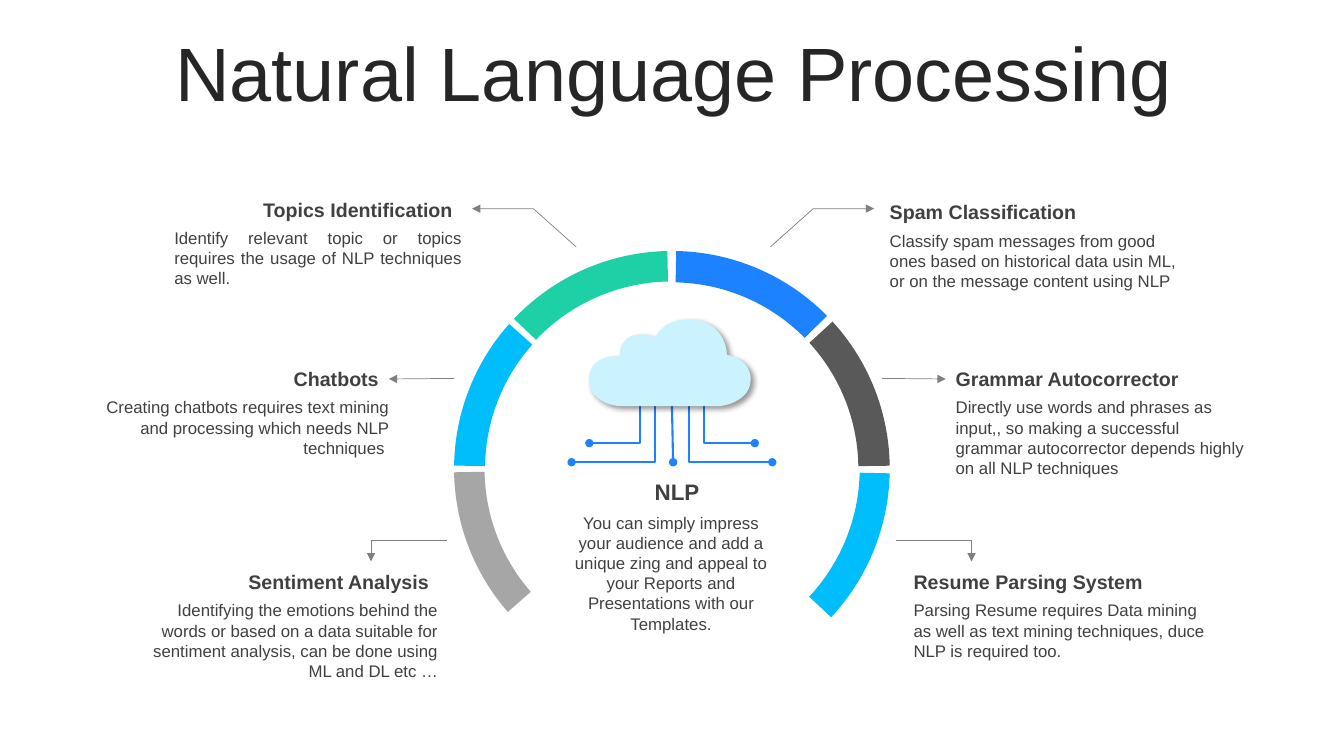
import lxml.etree
import pptx
import pptx.dml.color
import pptx.enum.shapes
import pptx.enum.text
import pptx.oxml.ns
import pptx.util

RGB = pptx.dml.color.RGBColor
INK = RGB(0x26, 0x26, 0x26)
TEXT = RGB(0x40, 0x40, 0x40)
LINE = RGB(0x80, 0x80, 0x80)
SKY = RGB(0x00, 0xBD, 0xFB)
GREY = RGB(0xA6, 0xA6, 0xA6)
DARK = RGB(0x59, 0x59, 0x59)
GREEN = RGB(0x1E, 0xD0, 0xA6)
BLUE = RGB(0x1C, 0x82, 0xFF)
PALE = RGB(0xCB, 0xF2, 0xFF)

align = pptx.enum.text.PP_ALIGN
kinds = pptx.enum.shapes.MSO_CONNECTOR
qn = pptx.oxml.ns.qn
sub = lxml.etree.SubElement
cell = pptx.util.Inches(0.1)

deck = pptx.Presentation()
deck.slide_width = pptx.util.Inches(13.33)
deck.slide_height = pptx.util.Inches(7.5)
slide = deck.slides.add_slide(deck.slide_layouts[5])
shapes = slide.shapes


def write(box, text, size, color, side, bold=False):
    para = box.text_frame.paragraphs[0]
    para.alignment = side
    run = para.add_run()
    run.text = text
    run.font.name = "Arial"
    run.font.size = pptx.util.Pt(size)
    run.font.bold = bold
    run.font.color.rgb = color
    return para


def stroke(item, color, width, tip):
    item.line.color.rgb = color
    item.line.width = pptx.util.Pt(width)
    props = item.element.spPr
    sub(props.find(qn("a:ln")), qn("a:tailEnd"), type=tip)
    if props.find(qn("a:effectLst")) is None:
        sub(props, qn("a:effectLst"))


title = shapes.title
title.left, title.top, title.width, title.height = [
    round(n * cell) for n in (3.5, 3.7, 126.6, 7.9)]
title.text_frame.word_wrap = True
title.text_frame.auto_size = pptx.enum.text.MSO_AUTO_SIZE.NONE
title.text_frame.vertical_anchor = pptx.enum.text.MSO_ANCHOR.MIDDLE
head = write(title, "Natural Language Processing", 54, INK, align.CENTER)
head.line_spacing = 0.9
head.space_before = pptx.util.Pt(10)

arcs = [
    (SKY, 137.7, 223.52, 265.32, 0.069),
    (GREY, 317.2, 181.66, 221.85, 0.07),
    (SKY, 0, 180.82, 221.66, 0.071),
    (DARK, 90, 227.51, 269.21, 0.072),
    (GREEN, 47.6, 175.88, 221.19, 0.07),
    (BLUE, 47.6, 223.52, 267.81, 0.072),
]
for color, turn, start, end, thick in arcs:
    arc = shapes.add_shape(
        pptx.enum.shapes.MSO_SHAPE.BLOCK_ARC,
        *[round(n * cell) for n in (45.04, 24.9, 43.2, 43.2)])
    arc.rotation = turn
    arc.adjustments[0] = start * 0.6
    arc.adjustments[1] = end * 0.6
    arc.adjustments[2] = thick
    arc.fill.solid()
    arc.fill.fore_color.rgb = color
    arc.line.fill.background()
    arc.shadow.inherit = False

left, right, mid = align.LEFT, align.RIGHT, align.CENTER
notes = [
    (87.26, 19.36, 30.9, 3.4, 14, left, "Spam Classification"),
    (87.26, 22.4, 30.9, 9.1, 12, left,
     "Classify spam messages from good ones based on historical data usin ML, "
     "or on the message content using NLP"),
    (93.8, 35.9, 30.9, 3.4, 14, left, "Grammar Autocorrector"),
    (93.8, 38.9, 30.9, 9.1, 12, left,
     "Directly use words and phrases as input,, so making a successful "
     "grammar autocorrector depends highly on all NLP techniques"),
    (89.62, 56.1, 30.9, 3.4, 14, left, "Resume Parsing System"),
    (89.62, 59.04, 30.9, 7.1, 12, left,
     "Parsing Resume requires Data mining as well as text mining techniques, "
     "duce NLP is required too."),
    (16.3, 19.1, 29.6, 3.4, 14, right, "Topics Identification"),
    (16.3, 22.1, 30.5, 7.1, 12, align.JUSTIFY,
     "Identify relevant topic or topics requires the usage of NLP techniques "
     "as well."),
    (8.96, 35.9, 29.6, 3.4, 14, right, "Chatbots"),
    (9.1, 38.9, 30.5, 7.1, 12, right,
     "Creating chatbots requires text mining and processing which needs NLP "
     "techniques "),
    (13.84, 56.1, 29.7, 3.4, 14, right, "Sentiment Analysis"),
    (13.84, 59.04, 30.6, 9.1, 12, right,
     "Identifying the emotions behind the words or based on a data suitable "
     "for sentiment analysis, can be done using ML and DL etc …"),
    (49.86, 46.96, 34.6, 3.7, 16, mid, "NLP"),
    (55.16, 50.36, 22.8, 13.1, 12, mid,
     "You can simply impress your audience and add a unique zing and appeal "
     "to your Reports and Presentations with our Templates."),
]
for x, y, wide, high, size, side, text in notes:
    box = shapes.add_textbox(*[round(n * cell) for n in (x, y, wide, high)])
    box.text_frame.word_wrap = True
    box.text_frame.auto_size = pptx.enum.text.MSO_AUTO_SIZE.SHAPE_TO_FIT_TEXT
    write(box, text, size, TEXT, side, size > 12)

bends = [
    [(76.4, 24.5), (80.66, 20.7), (86.7, 20.7)],
    [(57.16, 24.5), (52.9, 20.7), (46.82, 20.7)],
    [(44.3, 53.6), (36.8, 53.6), (36.8, 55.7)],
    [(88.9, 53.6), (96.36, 53.6), (96.36, 55.7)],
]
for bend in bends:
    spots = [(round(x * cell), round(y * cell)) for x, y in bend]
    pen = shapes.build_freeform(*spots[0])
    pen.add_line_segments(spots[1:], close=False)
    arrow = pen.convert_to_shape()
    arrow.fill.background()
    arrow.shadow.inherit = False
    stroke(arrow, LINE, 0.5, "triangle")

wires = [
    (LINE, 0.5, "triangle", None, (87.5, 37.54, 93.8, 37.6)),
    (LINE, 0.5, "triangle", None, (45.04, 37.54, 38.56, 37.6)),
    (BLUE, 1.5, "oval", 700, (69.8, 39.9, 74.86, 43.96)),
    (BLUE, 1.5, "oval", 2900, (68.1, 39.3, 76.6, 45.86)),
    (BLUE, 1.5, "oval", None, (66.6, 38.1, 66.76, 45.86)),
    (BLUE, 1.5, "oval", 700, (63.5, 39.9, 58.46, 43.96)),
    (BLUE, 1.5, "oval", 2900, (65.26, 39.3, 56.7, 45.86)),
]
for color, width, tip, bend, ends in wires:
    kind = kinds.ELBOW if bend else kinds.STRAIGHT
    wire = shapes.add_connector(kind, *[round(n * cell) for n in ends])
    stroke(wire, color, width, tip)
    if bend:
        form = wire.element.spPr.find(qn("a:prstGeom"))
        sub(form.find(qn("a:avLst")), qn("a:gd"),
            name="adj1", fmla=f"val {bend}")

curves = [
    [(68.6, 31.7), (68.7, 31.7), (68.9, 31.7)],
    [(71.4, 32.1), (72.1, 34.1), (72.1, 35.2)],
    [(74.4, 35.7), (74.6, 37.3), (74.4, 38.1)],
    [(74.1, 39.8), (71.9, 40.3), (71.2, 40.3)],
    [(61.5, 40.3)],
    [(60.3, 40.2), (59.5, 39.8), (58.8, 39)],
    [(58.2, 38.2), (58.4, 37), (58.7, 36.5)],
    [(58.9, 36), (60.1, 35.1), (61.5, 35.4)],
    [(61.4, 34.5), (61.8, 33.8), (62.5, 33.4)],
    [(63.3, 33), (64.3, 33.2), (65, 33.5)],
    [(65.3, 32.8), (66.3, 31.6), (68.5, 31.7)],
]
edge = (58.36, 31.7, 16.1, 8.7)
pen = shapes.build_freeform(round(68.5 * cell), round(31.7 * cell))
pen.add_line_segments(
    [(round(c[-1][0] * cell), round(c[-1][1] * cell)) for c in curves])
cloud = pen.convert_to_shape()
cloud.left, cloud.top, cloud.width, cloud.height = [
    round(n * cell) for n in edge]
rim = next(cloud.element.iter(qn("a:path")))
for old in list(rim):
    rim.remove(old)
rim.set("w", str(cloud.width))
rim.set("h", str(cloud.height))
tags = {1: "a:lnTo", 3: "a:cubicBezTo"}
moves = [("a:moveTo", [curves[-1][-1]])]
moves += [(tags[len(curve)], curve) for curve in curves]
for tag, spots in moves:
    move = sub(rim, qn(tag))
    for x, y in spots:
        sub(move, qn("a:pt"), x=str(round((x - edge[0]) * cell)),
            y=str(round((y - edge[1]) * cell)))
sub(rim, qn("a:close"))
cloud.fill.solid()
cloud.fill.fore_color.rgb = PALE
cloud.line.fill.background()
cloud.shadow.inherit = False
glow = sub(cloud.element.spPr.find(qn("a:effectLst")), qn("a:outerShdw"),
           blurRad=str(pptx.util.Pt(4)), dist=str(pptx.util.Pt(3)),
           dir="2700000", algn="tl", rotWithShape="0")
shade = sub(glow, qn("a:srgbClr"), val="000000")
sub(shade, qn("a:alpha"), val="40000")

deck.save("out.pptx")
